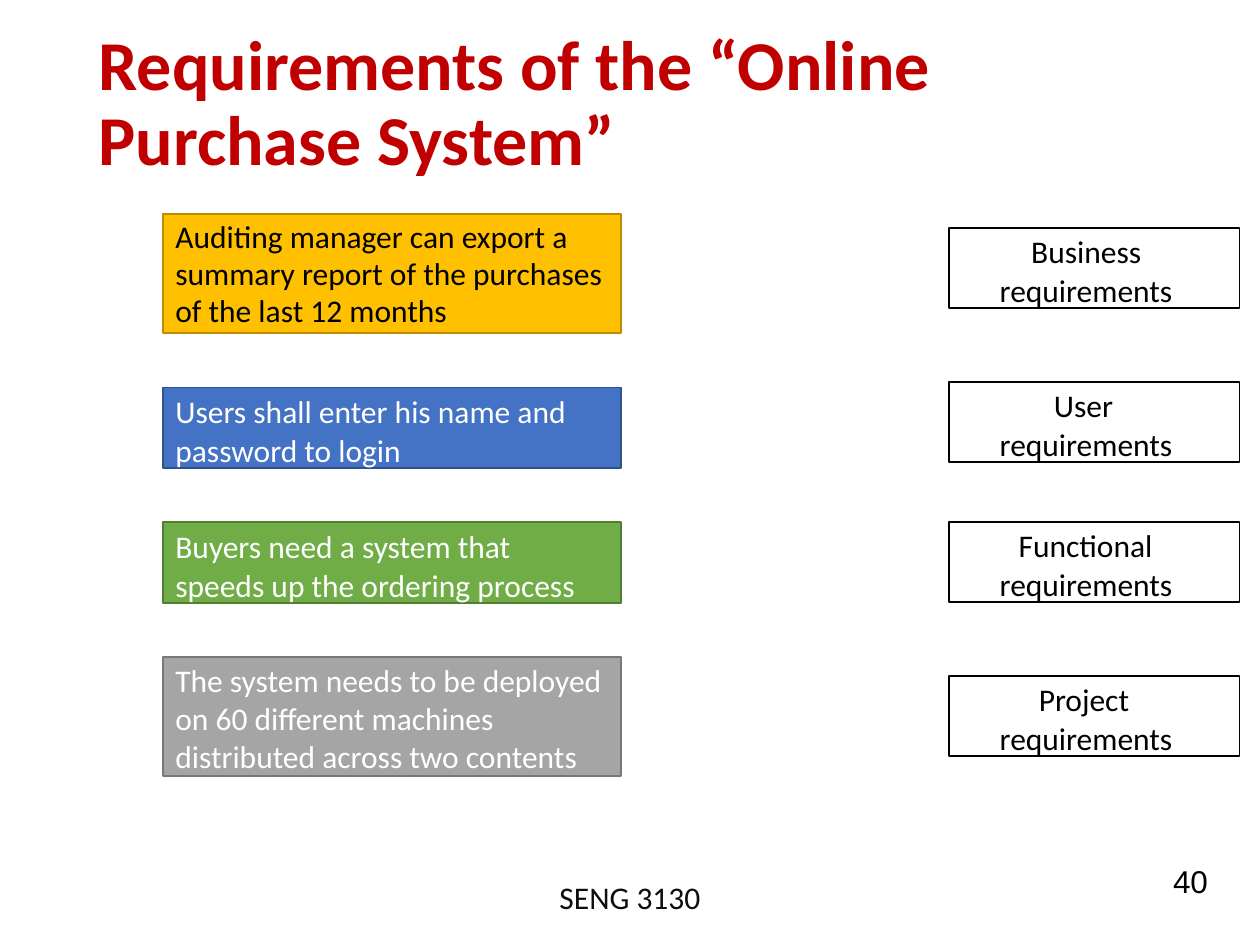
from pptx import Presentation
from pptx.dml.color import RGBColor
from pptx.enum.shapes import MSO_SHAPE as Shape
from pptx.enum.text import MSO_ANCHOR as Anchor, MSO_AUTO_SIZE as AutoSize, PP_ALIGN as Align
from pptx.util import Pt

BLACK = RGBColor(0x00, 0x00, 0x00)
WHITE = RGBColor(0xFF, 0xFF, 0xFF)
NEAR_BLACK = RGBColor(0x0D, 0x0D, 0x0D)
RED = RGBColor(0xC0, 0x00, 0x00)
GOLD, GOLD_EDGE = RGBColor(0xFF, 0xC0, 0x00), RGBColor(0xBC, 0x8C, 0x00)
BLUE, BLUE_EDGE = RGBColor(0x44, 0x72, 0xC4), RGBColor(0x2F, 0x52, 0x8F)
GREEN, GREEN_EDGE = RGBColor(0x70, 0xAD, 0x47), RGBColor(0x50, 0x7E, 0x32)
GREY, GREY_EDGE = RGBColor(0xA5, 0xA5, 0xA5), RGBColor(0x78, 0x78, 0x78)

# Wording, height, line spacing, right margin, fill, edge, text colour
STATEMENTS = [
    ("Auditing manager can export a summary report of the purchases of the last 12 months",
     68, 0.99, 0, GOLD, GOLD_EDGE, BLACK),
    ("Users shall enter his name and password to login",
     46, 1.02, 0, BLUE, BLUE_EDGE, WHITE),
    ("Buyers need a system that speeds up the ordering process",
     46, 1.02, 20, GREEN, GREEN_EDGE, WHITE),
    ("The system needs to be deployed on 60 different machines distributed across two contents",
     68, 1.0, 0, GREY, GREY_EDGE, WHITE),
]

# Wording, top relative to the column, first-line indent
CATEGORIES = [
    ("Business requirements", 0, 18),
    ("User requirements", 88, 31),
    ("Functional requirements", 168, 10.8),
    ("Project requirements", 256, 22.3),
]


def write(shape, text, color, size=18, font="Calibri", bold=False, inset_top=0,
          margins=None, **paragraph_format):
    frame = shape.text_frame
    frame_format = {
        "margin_left": 0, "margin_right": 0, "margin_bottom": 0,
        "margin_top": Pt(inset_top), "word_wrap": True,
        "vertical_anchor": Anchor.TOP, "auto_size": AutoSize.SHAPE_TO_FIT_TEXT,
    }
    for name, value in frame_format.items():
        setattr(frame, name, value)
    paragraph = frame.paragraphs[0]
    for name, value in {"alignment": Align.LEFT, **paragraph_format}.items():
        setattr(paragraph, name, value)
    properties = paragraph._p.get_or_add_pPr()
    for name, value in (margins or {}).items():
        properties.set(name, str(Pt(value)))
    run = paragraph.add_run()
    run.text = text
    for name, value in {"size": Pt(size), "name": font, "bold": bold}.items():
        setattr(run.font, name, value)
    run.font.color.rgb = color
    return run


def add_box(slide, left, top, width, height, edge, fill=None):
    box = slide.shapes.add_shape(Shape.RECTANGLE, Pt(left), Pt(top), Pt(width), Pt(height))
    box.shadow.inherit = False
    if fill is None:
        box.fill.background()
    else:
        box.fill.solid()
        box.fill.fore_color.rgb = fill
    box.line.color.rgb = edge
    box.line.width = Pt(1)
    return box


def add_title(slide, left, top, width, height):
    title = slide.shapes.title
    for name, value in {"left": left, "top": top, "width": width, "height": height}.items():
        setattr(title, name, Pt(value))
    write(title, "Requirements of the “Online Purchase System”", RED, 40, bold=True,
          inset_top=6.5, margins={"marL": 0.9}, line_spacing=Pt(43), space_before=Pt(6.6))


def add_statements(slide, left, top, width, gap):
    for text, height, spacing, right_margin, fill, edge, color in STATEMENTS:
        box = add_box(slide, left, top, width, height, edge, fill)
        write(box, text, color, inset_top=2.3, margins={"marL": 7.2, "marR": right_margin},
              line_spacing=spacing, space_before=Pt(2.3))
        top += height + gap


def add_categories(slide, left, top, width, height):
    for text, offset, indent in CATEGORIES:
        box = add_box(slide, left, top + offset, width, height, BLACK)
        write(box, text, BLACK, inset_top=2.2, margins={"marL": 29, "indent": indent},
              line_spacing=1.02, space_before=Pt(2.1))


def add_footer(slide, left, top, width, height):
    course = slide.shapes.add_textbox(Pt(left), Pt(top), Pt(width), Pt(height))
    write(course, "SENG 3130", NEAR_BLACK, alignment=Align.CENTER)
    # Page number, up and to the right of the course code
    page = slide.shapes.add_textbox(Pt(left + 422.6), Pt(top - 5.8), Pt(27.4), Pt(20))
    number = write(page, "40", BLACK, font="Arial", margins={"marL": 3},
                   line_spacing=Pt(18.4))
    number.font._element.set("spc", "-20")


def main():
    deck = Presentation()
    deck.slide_width, deck.slide_height = Pt(720), Pt(540)
    slide = deck.slides.add_slide(deck.slide_layouts[5])
    add_title(slide, 55.4, 10, 591, 93.6)
    add_statements(slide, 93, 122.4, 262, gap=31)
    add_categories(slide, 542.3, 130.2, 166, 46)
    add_footer(slide, 244.8, 501.8, 230.4, 21.6)
    deck.save("out.pptx")


if __name__ == "__main__":
    main()
